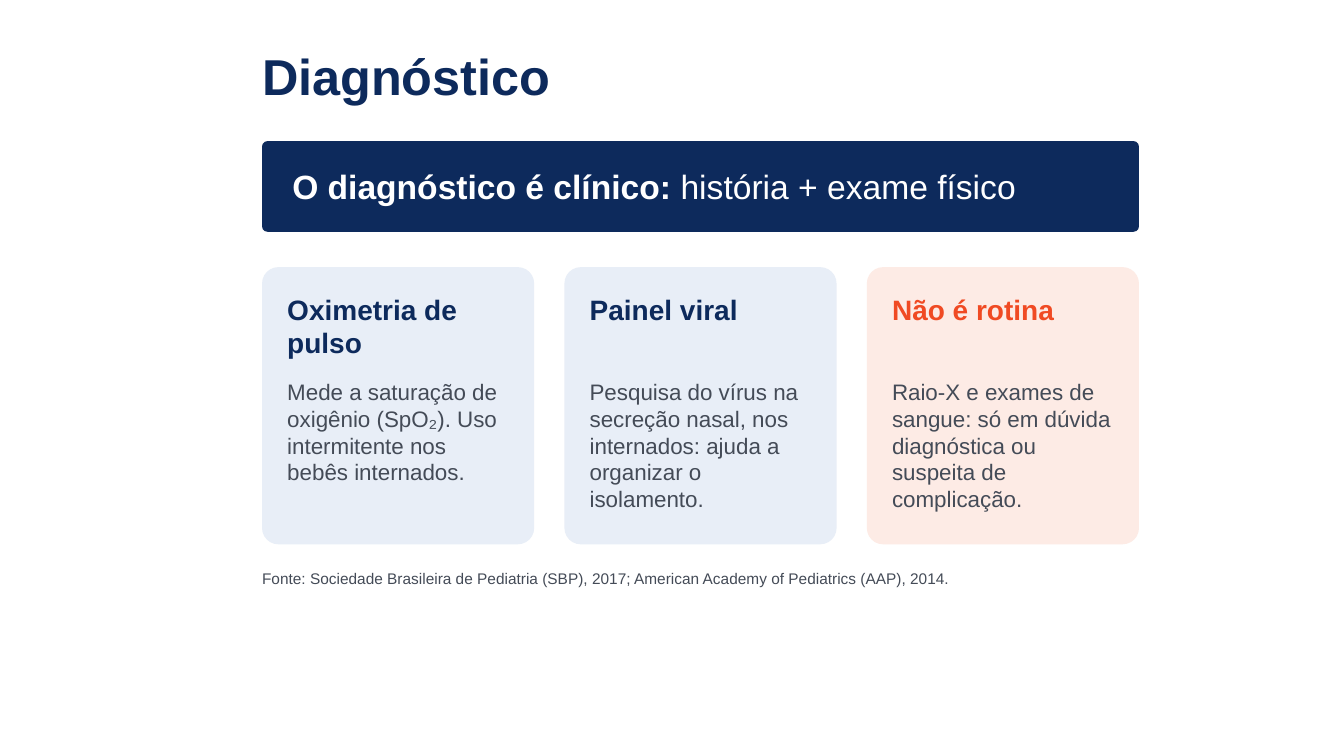
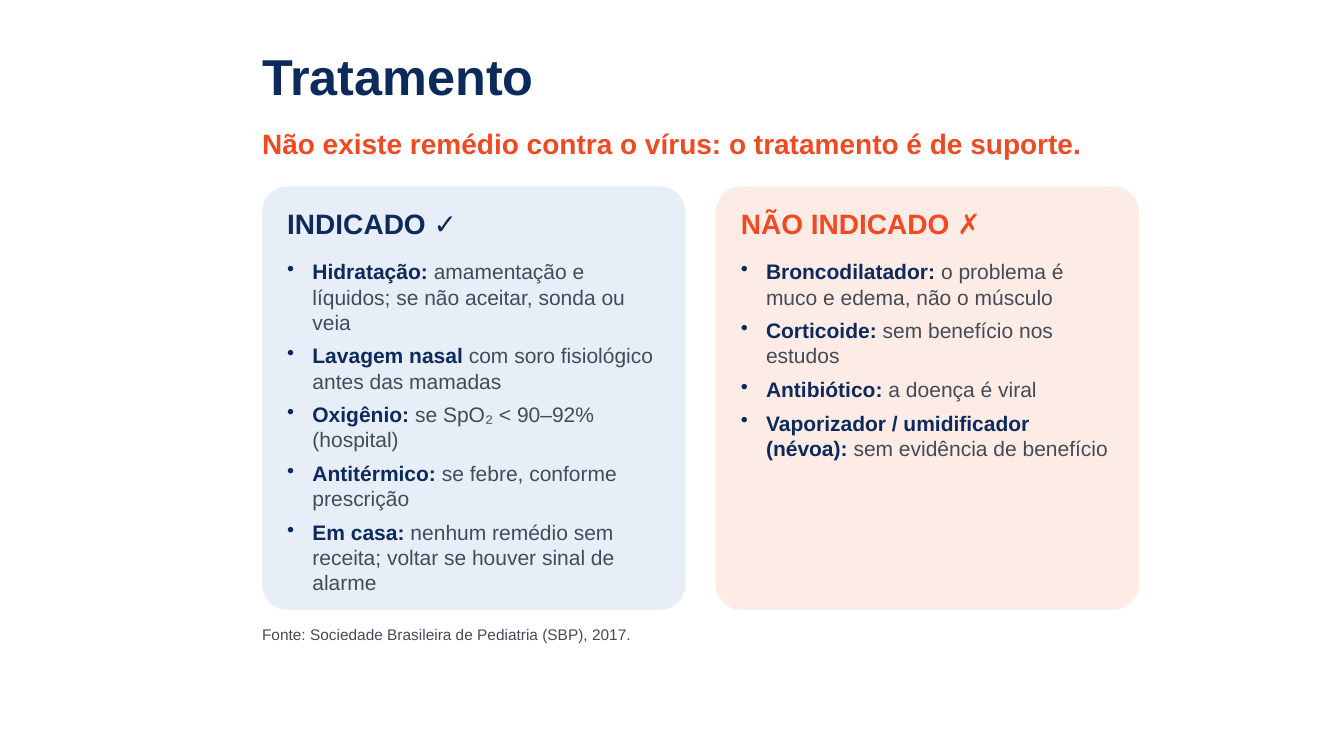
from dataclasses import dataclass

from lxml import etree
from pptx import Presentation
from pptx.dml.color import RGBColor
from pptx.enum.shapes import MSO_SHAPE
from pptx.enum.text import MSO_ANCHOR, MSO_AUTO_SIZE
from pptx.oxml.ns import qn
from pptx.util import Pt

ROUNDED = MSO_SHAPE.ROUNDED_RECTANGLE
TOP = MSO_ANCHOR.TOP
MIDDLE = MSO_ANCHOR.MIDDLE
GROW = MSO_AUTO_SIZE.SHAPE_TO_FIT_TEXT


@dataclass(frozen=True)
class Theme:
    font: str = "Arial"
    white: str = "FFFFFF"
    navy: str = "0D2A5C"
    orange: str = "F04A23"
    gray: str = "444B57"
    pale_blue: str = "E8EEF7"
    pale_orange: str = "FDEBE5"
    title_size: int = 36
    band_size: int = 24
    heading_size: int = 20
    body_size: int = 16
    bullet_size: int = 15
    source_size: int = 11
    left: float = 187.2
    width: float = 626.4
    gap: float = 21.6
    padding: float = 18
    corner: float = 0.06


class Deck:
    def __init__(self, theme):
        self.theme = theme
        self.presentation = Presentation()
        self.presentation.slide_width = Pt(960)
        self.presentation.slide_height = Pt(540)
        self.slide = None

    def new_slide(self, title):
        theme = self.theme
        self.slide = self.presentation.slides.add_slide(
            self.presentation.slide_layouts[6])
        background = self.slide.background.fill
        background.solid()
        background.fore_color.rgb = RGBColor.from_string(theme.white)
        self.text(theme.left, 32.4, theme.width, 54,
                  [(title, theme.navy, True)], theme.title_size)

    def panel(self, left, top, width, height, color):
        shape = self.slide.shapes.add_shape(
            ROUNDED, Pt(left), Pt(top), Pt(width), Pt(height))
        shape.adjustments[0] = self.theme.corner
        shape.shadow.inherit = False
        shape.fill.solid()
        shape.fill.fore_color.rgb = RGBColor.from_string(color)
        shape.line.fill.background()

    def frame(self, left, top, width, height, anchor=TOP):
        box = self.slide.shapes.add_textbox(
            Pt(left), Pt(top), Pt(width), Pt(height))
        frame = box.text_frame
        frame.margin_left = frame.margin_right = 0
        frame.margin_top = frame.margin_bottom = 0
        frame.word_wrap = True
        frame.auto_size = GROW
        frame.vertical_anchor = anchor
        return frame

    def runs(self, paragraph, parts, size):
        for text, color, bold in parts:
            run = paragraph.add_run()
            run.text = text
            run.font.name = self.theme.font
            run.font.size = Pt(size)
            run.font.bold = bold
            run.font.color.rgb = RGBColor.from_string(color)

    def text(self, left, top, width, height, parts, size, anchor=TOP):
        frame = self.frame(left, top, width, height, anchor)
        self.runs(frame.paragraphs[0], parts, size)

    def bullets(self, left, top, width, height, items):
        theme = self.theme
        frame = self.frame(left, top, width, height)
        for index, (term, detail) in enumerate(items):
            paragraph = frame.add_paragraph() if index else frame.paragraphs[0]
            paragraph.space_after = Pt(6)
            properties = paragraph._p.get_or_add_pPr()
            properties.set("marL", str(Pt(18)))
            properties.set("indent", str(-Pt(18)))
            etree.SubElement(properties, qn("a:buChar")).set("char", "•")
            self.runs(paragraph, [(term + " ", theme.navy, True),
                                  (detail, theme.gray, False)],
                      theme.bullet_size)

    def band(self, top, height, lead, rest):
        theme = self.theme
        self.panel(theme.left, top, theme.width, height, theme.navy)
        self.text(theme.left + theme.gap, top, theme.width - 2 * theme.gap,
                  height, [(lead + " ", theme.white, True),
                           (rest, theme.white, False)],
                  theme.band_size, MIDDLE)

    def columns(self, count):
        theme = self.theme
        width = (theme.width - (count - 1) * theme.gap) / count
        return [(theme.left + index * (width + theme.gap), width)
                for index in range(count)]

    def card(self, column, top, height, heading, heading_top, heading_height,
             warning):
        theme = self.theme
        left, width = column
        fill = theme.pale_orange if warning else theme.pale_blue
        color = theme.orange if warning else theme.navy
        inner_left, inner_width = left + theme.padding, width - 2 * theme.padding
        self.panel(left, top, width, height, fill)
        self.text(inner_left, heading_top, inner_width, heading_height,
                  [(heading, color, True)], theme.heading_size)
        return inner_left, inner_width

    def source(self, top, text):
        theme = self.theme
        self.text(theme.left, top, 547.2, 25.2,
                  [(text, theme.gray, False)], theme.source_size)


def diagnosis(deck):
    theme = deck.theme
    deck.new_slide("Diagnóstico")
    deck.band(100.8, 64.8, "O diagnóstico é clínico:",
              "história + exame físico")
    cards = [
        ("Oximetria de pulso",
         "Mede a saturação de oxigênio (SpO₂). Uso intermitente nos bebês "
         "internados.", False),
        ("Painel viral",
         "Pesquisa do vírus na secreção nasal, nos internados: ajuda a "
         "organizar o isolamento.", False),
        ("Não é rotina",
         "Raio-X e exames de sangue: só em dúvida diagnóstica ou suspeita de "
         "complicação.", True),
    ]
    for column, (heading, body, warning) in zip(deck.columns(3), cards):
        left, width = deck.card(column, 190.8, 198, heading, 208.8, 54, warning)
        deck.text(left, 270, width, 104.4, [(body, theme.gray, False)],
                  theme.body_size)
    deck.source(406.8, "Fonte: Sociedade Brasileira de Pediatria (SBP), 2017; "
                       "American Academy of Pediatrics (AAP), 2014.")


def treatment(deck):
    theme = deck.theme
    deck.new_slide("Tratamento")
    deck.text(theme.left, 90, theme.width, 32.4,
              [("Não existe remédio contra o vírus: o tratamento é de suporte.",
                theme.orange, True)], theme.heading_size)
    cards = [
        ("INDICADO ✓", [
            ("Hidratação:",
             "amamentação e líquidos; se não aceitar, sonda ou veia"),
            ("Lavagem nasal", "com soro fisiológico antes das mamadas"),
            ("Oxigênio:", "se SpO₂ < 90–92% (hospital)"),
            ("Antitérmico:", "se febre, conforme prescrição"),
            ("Em casa:",
             "nenhum remédio sem receita; voltar se houver sinal de alarme"),
        ], False),
        ("NÃO INDICADO ✗", [
            ("Broncodilatador:", "o problema é muco e edema, não o músculo"),
            ("Corticoide:", "sem benefício nos estudos"),
            ("Antibiótico:", "a doença é viral"),
            ("Vaporizador / umidificador (névoa):",
             "sem evidência de benefício"),
        ], True),
    ]
    for column, (heading, items, warning) in zip(deck.columns(2), cards):
        left, width = deck.card(column, 133.2, 302.4, heading, 147.6, 28.8,
                                warning)
        deck.bullets(left, 185, width, 237.6, items)
    deck.source(446.4, "Fonte: Sociedade Brasileira de Pediatria (SBP), 2017.")


def main():
    deck = Deck(Theme())
    diagnosis(deck)
    treatment(deck)
    deck.presentation.save("out.pptx")


if __name__ == "__main__":
    main()
